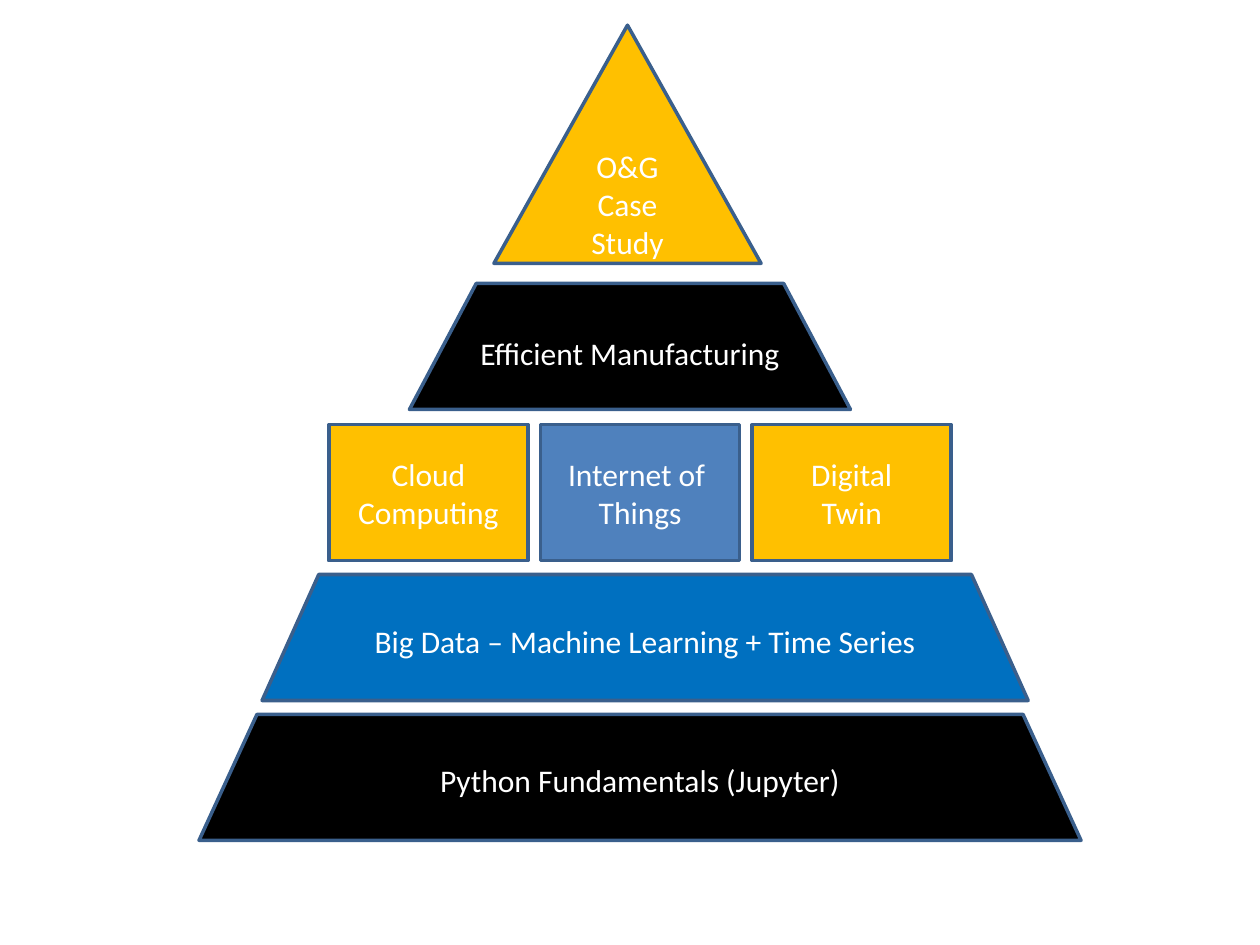
from pptx import Presentation
from pptx.dml.color import RGBColor as Rgb
from pptx.enum.shapes import MSO_SHAPE as Kind
from pptx.enum.text import MSO_ANCHOR as Anchor, PP_ALIGN as Align
from pptx.util import Inches, Pt

HUES = {"black": "000000", "blue": "0070C0", "steel": "4F81BD",
        "gold": "FFC000", "edge": "3A5F8C", "white": "FFFFFF"}


def hue(name):
    """Return the named colour."""
    return Rgb.from_string(HUES[name])


def write(shape, text, size=18, color="white", font="Calibri"):
    """Fill a shape with centred text, one paragraph a line."""
    frame = shape.text_frame
    frame.word_wrap = True
    frame.vertical_anchor = Anchor.MIDDLE
    frame.text = text
    for para in frame.paragraphs:
        para.alignment = Align.CENTER
        for run in para.runs:
            run.font.size = Pt(size)
            run.font.name = font
            run.font.color.rgb = hue(color)


def block(slide, kind, box, fill, text, slant=None):
    """Draw one outlined block of the pyramid in its box."""
    shape = slide.shapes.add_shape(kind, *map(Inches, box))
    shape.shadow.inherit = False
    if slant is not None:
        shape.adjustments[0] = slant
    shape.fill.solid()
    shape.fill.fore_color.rgb = hue(fill)
    shape.line.color.rgb = hue("edge")
    shape.line.width = Pt(2)
    write(shape, text)


def tier(slide, box, cells, wide=1.58):
    """Spread equal cells over the full width of a box."""
    left, top, width, height = box
    step = (width - wide) / (len(cells) - 1)
    for col, (fill, text) in enumerate(cells):
        block(slide, Kind.RECTANGLE,
              (left + col * step, top, wide, height), fill, text)


def pyramid(slide, box):
    """Stack the tiers of the pyramid from the base up."""
    left, top, width, height = box
    base = top + height
    block(slide, Kind.TRAPEZOID, (left, base - 1, width, 1), "black",
          "Python Fundamentals (Jupyter)", 0.46)
    block(slide, Kind.TRAPEZOID, (left + 0.5, base - 2.11, 6.08, 1), "blue",
          "Big Data – Machine Learning + Time Series", 0.45)
    tier(slide, (left + 1.03, base - 3.3, 4.94, 1.08),
         [("gold", "Cloud\nComputing"), ("steel", "Internet of \nThings"),
          ("gold", "Digital\nTwin")])
    block(slide, Kind.ISOSCELES_TRIANGLE, (left + 2.34, top, 2.12, 1.89),
          "gold", "O&G\nCase Study")
    block(slide, Kind.TRAPEZOID, (left + 1.67, top + 2.05, 3.5, 1), "black",
          "Efficient Manufacturing", 0.53)


def main():
    """Build and save the slide."""
    deck = Presentation()
    deck.slide_width, deck.slide_height = Inches(10), Inches(7.5)
    slide = deck.slides.add_slide(deck.slide_layouts[6])
    pyramid(slide, (1.58, 0.2, 7, 6.47))
    deck.save("out.pptx")


main()
